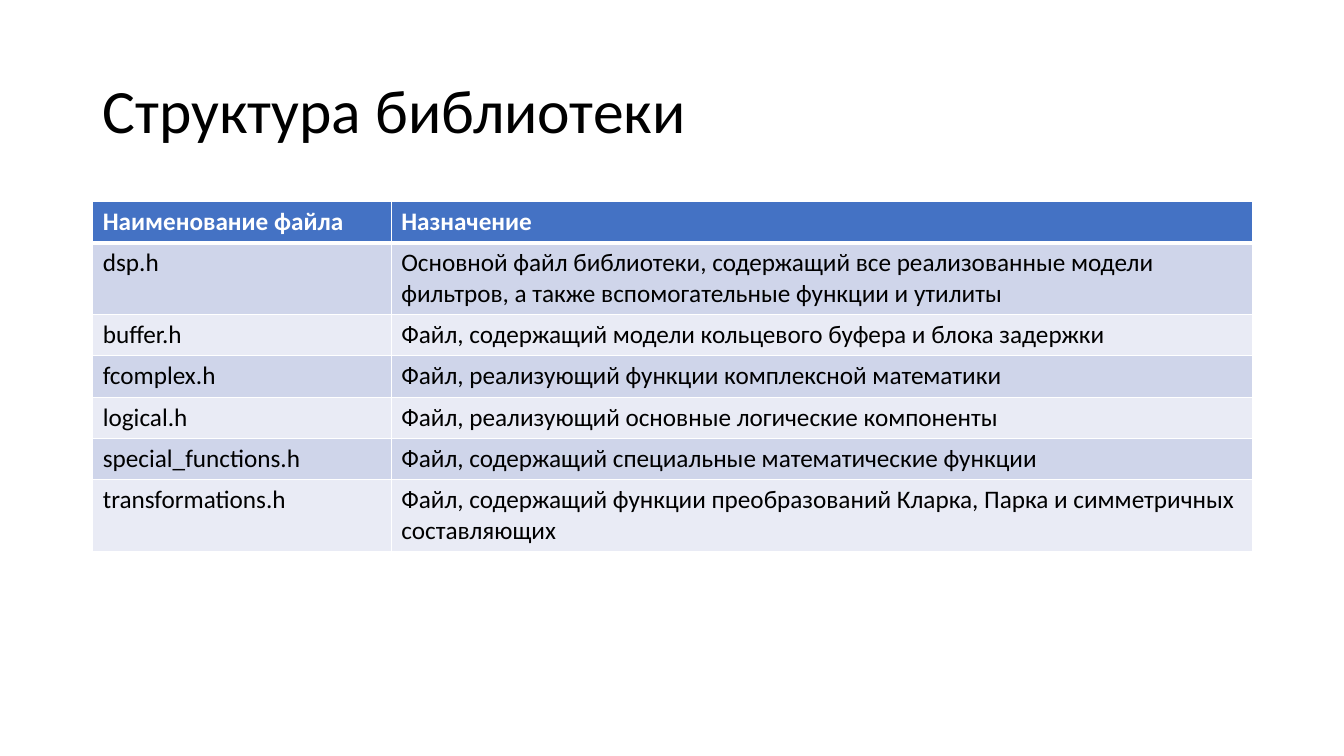
from dataclasses import dataclass

import pptx
import pptx.dml.color
import pptx.enum.text
import pptx.oxml
import pptx.oxml.ns
import pptx.slide
import pptx.table
import pptx.text.text
import pptx.util
from pptx.util import Inches


@dataclass(frozen=True)
class Theme:
    font: str = "Calibri"
    text: str = "000000"
    light: str = "FFFFFF"
    header: str = "4472C4"
    bands: tuple[str, str] = ("CFD5EA", "E9EBF5")
    title_size: int = 44
    table_size: int = 18
    border: int = 1
    header_border: int = 3


@dataclass(frozen=True)
class LibraryFile:
    name: str
    purpose: str


THEME = Theme()
HEADER = LibraryFile("Наименование файла", "Назначение")
FILES = [
    LibraryFile("dsp.h", "Основной файл библиотеки, содержащий все реализованные модели "
                "фильтров, а также вспомогательные функции и утилиты"),
    LibraryFile("buffer.h", "Файл, содержащий модели кольцевого буфера и блока задержки"),
    LibraryFile("fcomplex.h", "Файл, реализующий функции комплексной математики"),
    LibraryFile("logical.h", "Файл, реализующий основные логические компоненты"),
    LibraryFile("special_functions.h", "Файл, содержащий специальные математические функции"),
    LibraryFile("transformations.h", "Файл, содержащий функции преобразований Кларка, Парка "
                "и симметричных составляющих"),
]
LEFT = Inches(0.92)
WIDTH = Inches(11.5)
NAME_WIDTH = Inches(2.96)
ROW_HEIGHT = Inches(0.41)


def color(value: str) -> pptx.dml.color.RGBColor:
    return pptx.dml.color.RGBColor.from_string(value)


def add_run(paragraph: pptx.text.text._Paragraph, text: str, size: int,
            text_color: str, bold: bool = False) -> None:
    run = paragraph.add_run()
    run.text = text
    run.font.name = THEME.font
    run.font.size = pptx.util.Pt(size)
    run.font.bold = bold
    run.font.color.rgb = color(text_color)


def add_title(slide: pptx.slide.Slide, text: str) -> None:
    title = slide.shapes.title
    title.left, title.top = LEFT, Inches(0.4)
    title.width, title.height = WIDTH, Inches(1.45)
    title.text_frame.word_wrap = True
    title.text_frame.vertical_anchor = pptx.enum.text.MSO_ANCHOR.MIDDLE
    paragraph = title.text_frame.paragraphs[0]
    paragraph.alignment = pptx.enum.text.PP_ALIGN.LEFT
    paragraph.line_spacing = 0.9
    add_run(paragraph, text, THEME.title_size, THEME.text)


def add_border(cell: pptx.table._Cell, side: str, width: int) -> None:
    cell._tc.get_or_add_tcPr().append(pptx.oxml.parse_xml(
        f'<a:ln{side} {pptx.oxml.ns.nsdecls("a")} w="{pptx.util.Pt(width)}">'
        f'<a:solidFill><a:srgbClr val="{THEME.light}"/></a:solidFill></a:ln{side}>'))


def fill_row(table: pptx.table.Table, index: int, file: LibraryFile) -> None:
    is_header = index == 0
    fill = THEME.header if is_header else THEME.bands[(index - 1) % 2]
    text_color = THEME.light if is_header else THEME.text
    widths = {side: THEME.border for side in "LRTB"}
    if is_header:
        widths["B"] = THEME.header_border
    elif index == 1:
        widths["T"] = THEME.header_border
    table.rows[index].height = ROW_HEIGHT
    for cell, text in zip(table.rows[index].cells, (file.name, file.purpose)):
        for side, width in widths.items():
            add_border(cell, side, width)
        cell.fill.solid()
        cell.fill.fore_color.rgb = color(fill)
        add_run(cell.text_frame.paragraphs[0], text, THEME.table_size, text_color, is_header)


def add_file_table(slide: pptx.slide.Slide) -> None:
    rows = [HEADER, *FILES]
    table = slide.shapes.add_table(
        len(rows), 2, LEFT, Inches(2), WIDTH, ROW_HEIGHT * len(rows)).table
    table.columns[0].width = NAME_WIDTH
    table.columns[1].width = WIDTH - NAME_WIDTH
    for index, file in enumerate(rows):
        fill_row(table, index, file)


def main() -> None:
    presentation = pptx.Presentation()
    presentation.slide_width = Inches(13.33)
    presentation.slide_height = Inches(7.5)
    layout = presentation.slide_layouts.get_by_name("Title Only")
    slide = presentation.slides.add_slide(layout)
    add_title(slide, "Структура библиотеки")
    add_file_table(slide)
    presentation.save("out.pptx")


main()
